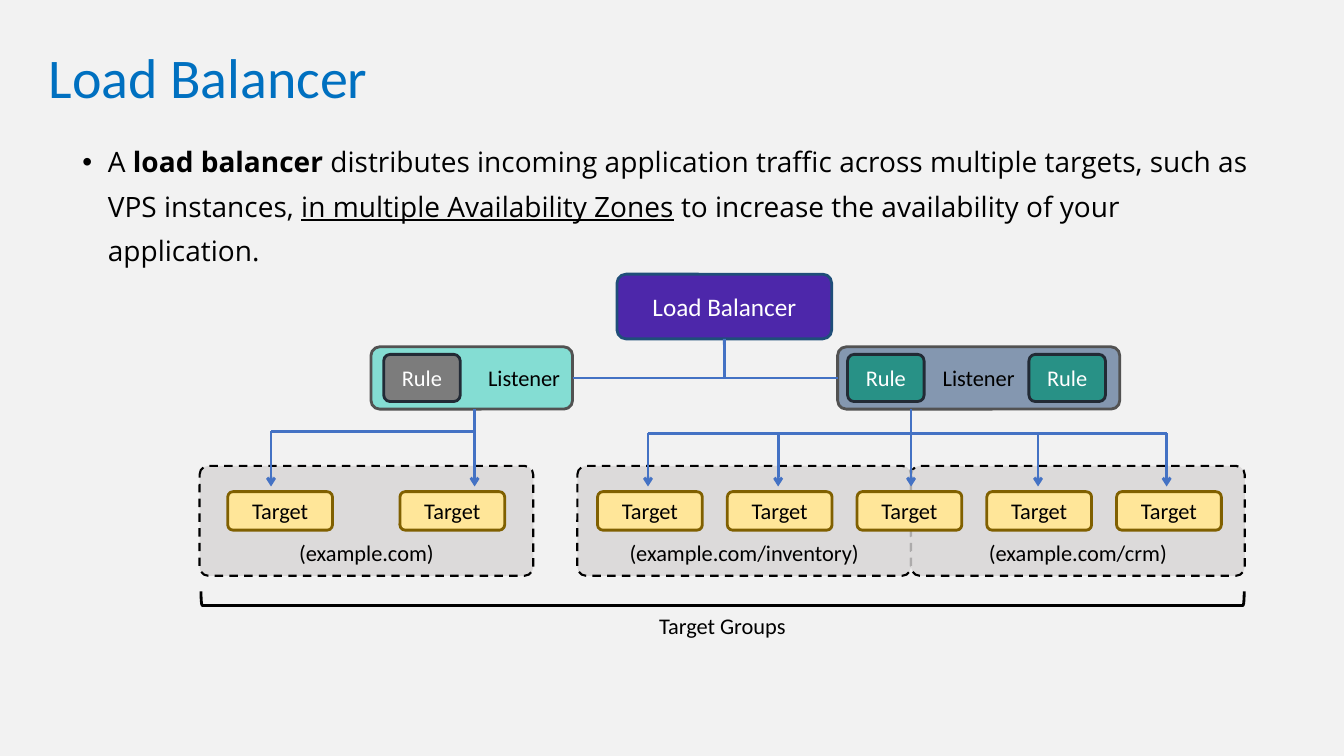
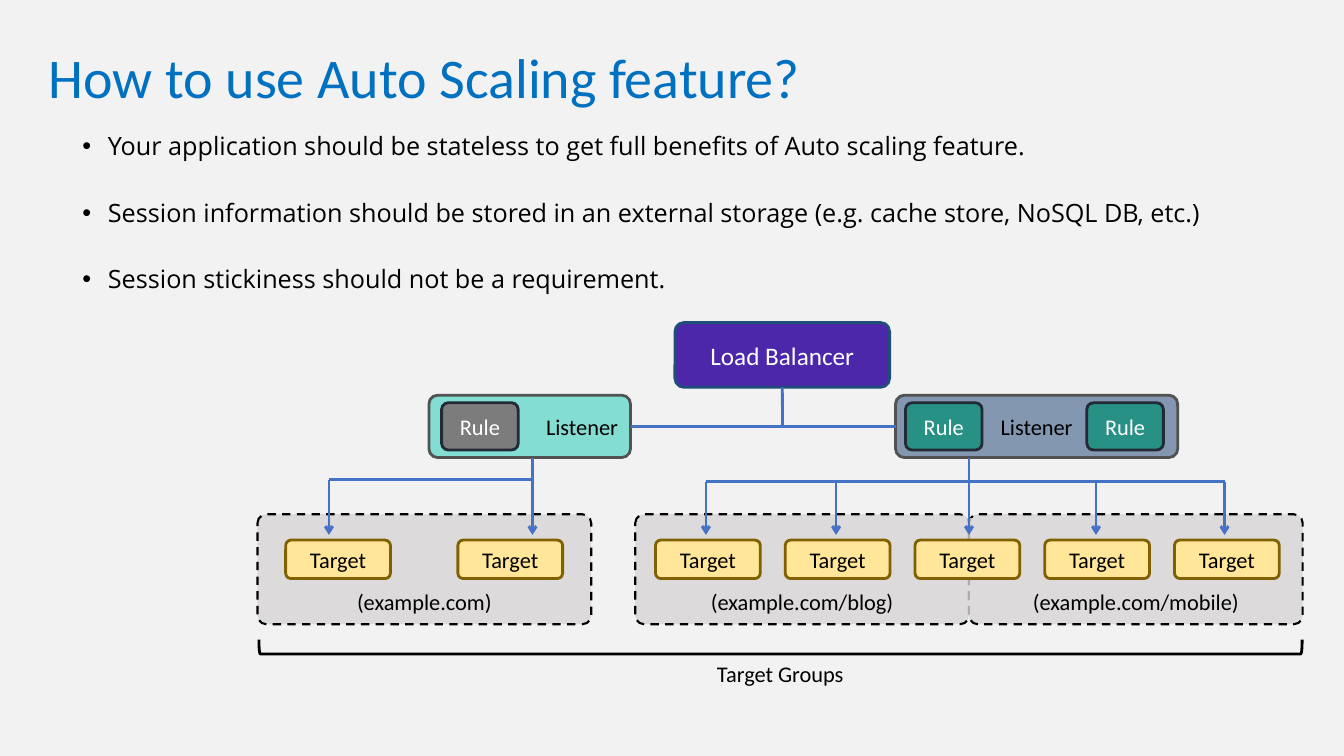
"""Build two slides that explain load balancing and auto scaling."""
from dataclasses import dataclass

from lxml.etree import SubElement
from pptx import Presentation
from pptx.dml.color import RGBColor
from pptx.enum.dml import MSO_LINE
from pptx.enum.shapes import MSO_CONNECTOR, MSO_SHAPE
from pptx.enum.text import MSO_ANCHOR, MSO_AUTO_SIZE, PP_ALIGN
from pptx.oxml.ns import qn
from pptx.util import Cm, Pt


@dataclass(frozen=True)
class Theme:
    """Colours, fonts and sizes shared by the slides."""
    background: str = "F2F2F2"
    title: str = "0070C0"
    ink: str = "000000"
    white: str = "FFFFFF"
    balancer: tuple = ("4D27AA", "1F4E79")
    web_listener: tuple = ("84DDD3", "525252")
    path_listener: tuple = ("8497B0", "525252")
    web_rule: tuple = ("7C7C7C", "222A35")
    path_rule: tuple = ("289186", "222A35")
    target: tuple = ("FFE699", "806000")
    zone: tuple = ("DCDADA", "000000")
    arrow: str = "4472C4"
    heading_font: str = "Calibri"
    body_font: str = "Open Sans"
    title_size: int = 40
    balancer_size: int = 18
    label_size: int = 16
    line_width: float = 2
    zone_line_width: float = 1.5
    corner: float = 0.139
    zone_corner: float = 0.08


THEME = Theme()
ZONE_WIDTH = 8.41
TARGET_WIDTH = 2.64
TARGET_STEP = 3.27
LABEL_HEIGHT = 0.94


def rgb(code):
    """Return the colour for a hex code."""
    return RGBColor.from_string(code)


def style_font(font, size, color, name=THEME.heading_font):
    """Set typeface, size and colour of a font."""
    font.name, font.size, font.color.rgb = name, Pt(size), rgb(color)


def write_label(shape, text, color, size=THEME.label_size, align=PP_ALIGN.CENTER):
    """Write one vertically centred line in a shape."""
    frame = shape.text_frame
    frame.word_wrap = True
    frame.vertical_anchor = MSO_ANCHOR.MIDDLE
    frame.text = text
    frame.paragraphs[0].alignment = align
    style_font(frame.paragraphs[0].runs[0].font, size, color)


def add_title(slide, text):
    """Place and format the title placeholder."""
    title = slide.shapes.title
    title.left, title.top, title.width, title.height = Cm(0.97), Cm(0.79), Cm(31.22), Cm(2.49)
    write_label(title, text, THEME.title, THEME.title_size, PP_ALIGN.LEFT)
    title.text_frame.auto_size = MSO_AUTO_SIZE.NONE
    title.text_frame.paragraphs[0].line_spacing = 0.9


def add_bullets(slide, bullets, size, line_spacing, gap, height):
    """Add bullets, each a list of (text, emphasis) pairs."""
    box = slide.shapes.add_textbox(Cm(1.83), Cm(3.25), Cm(30.1), Cm(height))
    frame = box.text_frame
    frame.word_wrap = True
    for index, pieces in enumerate(bullets):
        paragraph = frame.add_paragraph() if index else frame.paragraphs[0]
        properties = paragraph._p.get_or_add_pPr()
        properties.set("marL", str(Cm(0.64)))
        properties.set("indent", str(Cm(-0.64)))
        SubElement(properties, qn("a:buFont"), typeface="Arial")
        SubElement(properties, qn("a:buChar"), char="•")
        paragraph.line_spacing = line_spacing
        paragraph.space_before = Pt(gap if index else 0)
        for text, emphasis in pieces:
            run = paragraph.add_run()
            run.text = text
            style_font(run.font, size, THEME.ink, THEME.body_font)
            run.font.bold = emphasis == "bold"
            run.font.underline = emphasis == "underline"


def add_box(shapes, x, y, width, height, colors, corner=THEME.corner):
    """Add a filled, outlined rounded box."""
    box = shapes.add_shape(MSO_SHAPE.ROUNDED_RECTANGLE, Cm(x), Cm(y), Cm(width), Cm(height))
    box.shadow.inherit = False
    box.adjustments[0] = corner
    box.fill.solid()
    box.fill.fore_color.rgb = rgb(colors[0])
    box.line.color.rgb = rgb(colors[1])
    box.line.width = Pt(THEME.line_width)
    return box


def add_rule(shapes, x, colors):
    """Add a listener rule."""
    write_label(add_box(shapes, x, 2.02, 1.93, 1.19, colors), "Rule", THEME.white)


def add_target(shapes, x):
    """Add a target."""
    write_label(add_box(shapes, x, 5.48, TARGET_WIDTH, 0.97, THEME.target), "Target", THEME.ink)


def add_zone(shapes, x):
    """Add the dashed frame of a target group."""
    zone = add_box(shapes, x, 4.83, ZONE_WIDTH, 2.77, THEME.zone, THEME.zone_corner)
    zone.line.width = Pt(THEME.zone_line_width)
    zone.line.dash_style = MSO_LINE.DASH


def add_caption(shapes, x, y, text):
    """Add plain centred text as wide as a zone."""
    caption = shapes.add_textbox(Cm(x), Cm(y), Cm(ZONE_WIDTH), Cm(LABEL_HEIGHT))
    write_label(caption, text, THEME.ink)


def add_veil(shapes):
    """Fade the border between the two neighbouring zones."""
    veil = add_box(shapes, 17.6, 4.93, 0.66, 2.46, THEME.zone, 0)
    veil.line.fill.background()
    color = veil.fill._xPr.find(qn("a:solidFill"))[0]
    SubElement(color, qn("a:alpha"), val="79000")


def add_line(shapes, start, end, arrow=False):
    """Add a straight connector, with an arrowhead on request."""
    line = shapes.add_connector(MSO_CONNECTOR.STRAIGHT, *map(Cm, start + end))
    line.line.color.rgb = rgb(THEME.arrow)
    line.line.width = Pt(THEME.line_width)
    SubElement(line._element.spPr, qn("a:effectLst"))
    if arrow:
        SubElement(line.line._get_or_add_ln(), qn("a:tailEnd"), type="arrow")
    return line


def add_branches(shapes, bus_y, stem, arrow_xs):
    """Add a horizontal bus with arrows down; the stem starts at the listener."""
    add_line(shapes, (arrow_xs[0], bus_y), (arrow_xs[-1], bus_y))
    for x in arrow_xs:
        add_line(shapes, (x, 3.4 if x == stem else bus_y), (x, 5.35), arrow=True)


def add_bracket(slide, x, y):
    """Add the bracket under all target groups, centred on a point."""
    depth, span = 0.36, 26.29
    bracket = slide.shapes.add_shape(
        MSO_SHAPE.RIGHT_BRACKET, Cm(x - depth / 2), Cm(y - span / 2), Cm(depth), Cm(span))
    bracket.rotation = 90
    bracket.shadow.inherit = False
    bracket.fill.background()
    bracket.line.color.rgb = rgb(THEME.ink)
    bracket.line.width = Pt(THEME.line_width)


def add_diagram(slide, left, top, addresses):
    """Draw the load balancer tree as a group at the given place."""
    group = slide.shapes.add_group_shape()
    shapes = group.shapes
    balancer = add_box(shapes, 10.52, 0, 5.41, 1.63, THEME.balancer)
    write_label(balancer, "Load Balancer", THEME.white, THEME.balancer_size)
    web_listener = add_box(shapes, 4.32, 1.83, 5.08, 1.57, THEME.web_listener)
    write_label(web_listener, "Listener", THEME.ink, align=PP_ALIGN.RIGHT)
    path_listener = add_box(shapes, 16.08, 1.83, 7.11, 1.57, THEME.path_listener)
    write_label(path_listener, "Listener", THEME.ink)
    add_rule(shapes, 4.64, THEME.web_rule)
    for x in (16.33, 20.9):
        add_rule(shapes, x, THEME.path_rule)

    zone_xs = (0, 9.52, 9.52 + ZONE_WIDTH)
    for x in zone_xs:
        add_zone(shapes, x)
    add_veil(shapes)
    for x in [0.71, 5.05] + [10.03 + TARGET_STEP * i for i in range(5)]:
        add_target(shapes, x)
    for x, address in zip(zone_xs, addresses):
        add_caption(shapes, x, 6.55, address)
    add_caption(shapes, 8.97, 8.38, "Target Groups")

    listener_link = add_line(shapes, (9.4, 2.62), (16.08, 2.62))
    listener_link.begin_connect(web_listener, 3)
    listener_link.end_connect(path_listener, 1)
    add_line(shapes, (13.23, 1.63), (13.23, 2.62)).begin_connect(balancer, 2)
    add_branches(shapes, 3.96, 6.93, (1.8, 6.93))
    add_branches(shapes, 4.01, 17.93, (11.3, 14.58, 17.93, 21.13, 24.37))
    group.left, group.top = Cm(left), Cm(top)
    add_bracket(slide, left + 13.18, top + 8.17)


def main():
    """Build and save the presentation."""
    deck = Presentation()
    deck.slide_width, deck.slide_height = Cm(33.87), Cm(19.05)
    backdrop = deck.slide_master.background.fill
    backdrop.solid()
    backdrop.fore_color.rgb = rgb(THEME.background)
    title_only = deck.slide_layouts[5]

    balancing = deck.slides.add_slide(title_only)
    add_title(balancing, "Load Balancer")
    add_bullets(balancing, [[
        ("A ", None),
        ("load balancer", "bold"),
        (" distributes incoming application traffic across multiple targets, "
         "such as VPS instances, ", None),
        ("in multiple Availability Zones", "underline"),
        (" to increase the availability of your application.", None),
    ]], size=20, line_spacing=1.32, gap=0, height=3.99)
    add_diagram(balancing, 5.03, 6.91,
                ("(example.com)", "(example.com/inventory)", "(example.com/crm)"))

    scaling = deck.slides.add_slide(title_only)
    add_title(scaling, "How to use Auto Scaling feature?")
    add_bullets(scaling, [
        [("Your application should be stateless to get full benefits of Auto scaling feature.", None)],
        [("Session information should be stored in an external storage "
          "(e.g. cache store, NoSQL DB, etc.)", None)],
        [("Session stickiness should not be a requirement.", None)],
    ], size=18, line_spacing=0.9, gap=28, height=4.8)
    add_diagram(scaling, 6.49, 8.13,
                ("(example.com)", "(example.com/blog)", "(example.com/mobile)"))

    deck.save("out.pptx")


if __name__ == "__main__":
    main()
